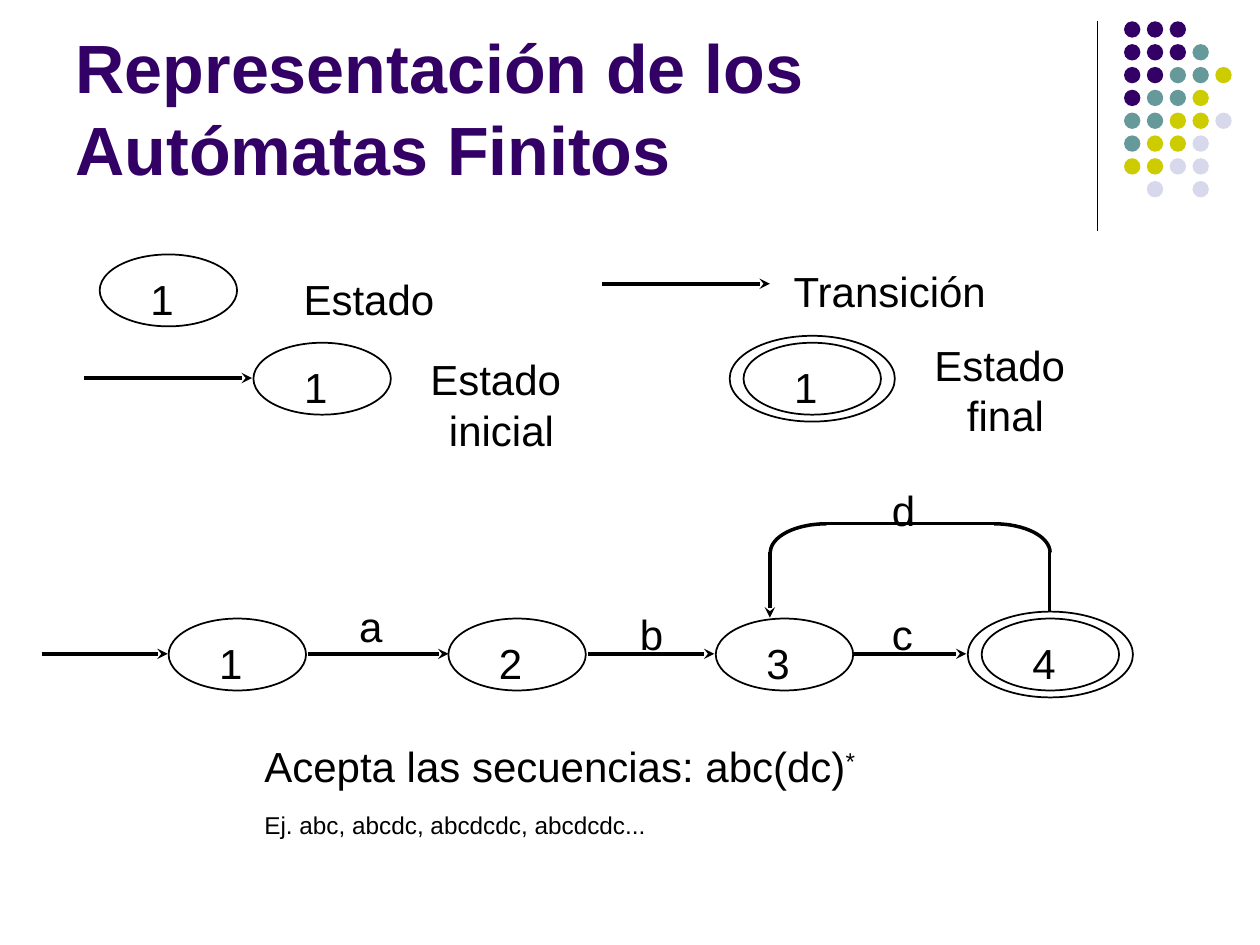
from math import cos, pi, sin

from lxml.etree import SubElement
from pptx import Presentation
from pptx.dml.color import RGBColor
from pptx.enum.shapes import MSO_CONNECTOR as CONNECTOR, MSO_SHAPE as SHAPE
from pptx.enum.text import MSO_ANCHOR as ANCHOR, MSO_AUTO_SIZE as AUTO_SIZE, PP_ALIGN as ALIGN
from pptx.oxml.ns import qn
from pptx.util import Cm, Pt

BLACK = RGBColor(0x00, 0x00, 0x00)
WHITE = RGBColor(0xFF, 0xFF, 0xFF)
PURPLE = RGBColor(0x33, 0x00, 0x66)
TEAL = RGBColor(0x66, 0x99, 0x99)
OLIVE = RGBColor(0xCC, 0xCC, 0x00)
LAVENDER = RGBColor(0xD8, 0xD8, 0xEC)

TITLE_FONT = {"name": "Arial", "size": Pt(39), "bold": True}
BODY_FONT = {"name": "Arial", "size": Pt(24)}

presentation = Presentation()
presentation.slide_width = Cm(25.4)
presentation.slide_height = Cm(19.05)
slide = presentation.slides.add_slide(presentation.slide_layouts[5])
shapes = slide.shapes


def add_text(left, top, width, height, lines, align=ALIGN.LEFT, wrap=False):
    box = shapes.add_textbox(Cm(left), Cm(top), Cm(width), Cm(height))
    frame = box.text_frame
    frame.text = "\n".join(lines)
    frame.word_wrap = wrap
    frame.auto_size = AUTO_SIZE.SHAPE_TO_FIT_TEXT
    for paragraph in frame.paragraphs:
        paragraph.alignment = align
        for name, value in BODY_FONT.items():
            setattr(paragraph.font, name, value)
        paragraph.font.color.rgb = BLACK
    return frame


def add_line(x1, y1, x2, y2, width=2, arrow=False):
    line = shapes.add_connector(CONNECTOR.STRAIGHT, Cm(x1), Cm(y1), Cm(x2), Cm(y2))
    line.line.color.rgb = BLACK
    line.line.width = Pt(width)
    if arrow:
        SubElement(line.line._get_or_add_ln(), qn("a:tailEnd"), type="stealth")
    SubElement(line._element.spPr, qn("a:effectLst"))


title = shapes.title
title_place = {"left": Cm(1.27), "top": Cm(0.33), "width": Cm(20.96), "height": Cm(3.61)}
for name, value in title_place.items():
    setattr(title, name, value)
title.text_frame.text = "Representación de los Autómatas Finitos"
title_format = {"auto_size": AUTO_SIZE.NONE, "vertical_anchor": ANCHOR.BOTTOM, "word_wrap": True}
for name, value in title_format.items():
    setattr(title.text_frame, name, value)
title_paragraph = title.text_frame.paragraphs[0]
title_paragraph.alignment = ALIGN.LEFT
for name, value in TITLE_FONT.items():
    setattr(title_paragraph.font, name, value)
title_paragraph.font.color.rgb = PURPLE

add_line(22.12, 0.43, 22.12, 4.65, width=0.75)

dot_colors = {"P": PURPLE, "T": TEAL, "O": OLIVE, "L": LAVENDER}
dot_rows = ["PPP", "PPPT", "PPTTO", "PTTO", "TTOOL", "TOOL", "OOLL", ".L.L"]
ellipses = []
for row, codes in enumerate(dot_rows):
    for column, code in enumerate(codes):
        if code in dot_colors:
            place = (22.66 + 0.46 * column, 0.43 + 0.46 * row, 0.33, 0.33)
            ellipses.append((place, dot_colors[code], False))

states = [
    (2.01, 5.13, "1", False),
    (5.11, 6.91, "1", False),
    (14.99, 6.91, "1", True),
    (3.4, 12.47, "1", False),
    (9.04, 12.47, "2", False),
    (14.43, 12.47, "3", False),
    (19.79, 12.47, "4", True),
]
for left, top, label, is_final in states:
    if is_final:
        ellipses.append(((left - 0.28, top - 0.14, 3.33, 1.73), WHITE, True))
    ellipses.append(((left, top, 2.77, 1.45), WHITE, True))

for place, color, outlined in ellipses:
    ellipse = shapes.add_shape(SHAPE.OVAL, *map(Cm, place))
    ellipse.shadow.inherit = False
    ellipse.fill.solid()
    ellipse.fill.fore_color.rgb = color
    if outlined:
        ellipse.line.color.rgb = BLACK
        ellipse.line.width = Pt(1)
    else:
        ellipse.line.fill.background()

for left, top, label, is_final in states:
    add_text(left + 0.77, top + 0.26, 0.99, 1.3, [label])

arrows = [
    (12.14, 5.72, 15.52, 5.72),
    (1.7, 7.62, 5.08, 7.62),
    (0.84, 13.18, 3.38, 13.18),
    (6.2, 13.18, 9.04, 13.18),
    (11.86, 13.18, 14.4, 13.18),
    (17.22, 13.18, 19.48, 13.18),
    (15.52, 11.13, 15.52, 12.45),
]
for arrow in arrows:
    add_line(*arrow, arrow=True)

add_line(21.16, 11.13, 21.16, 12.32)
add_line(20.04, 10.55, 16.66, 10.55)
for center, start in ((20.04, 0), (16.66, pi / 2)):
    angles = [start + pi / 2 * step / 16 for step in range(17)]
    points = [(Cm(center + 1.13 * cos(a)), Cm(11.14 - 0.58 * sin(a))) for a in angles]
    builder = shapes.build_freeform(*points[0])
    builder.add_line_segments(points[1:], close=False)
    corner = builder.convert_to_shape()
    corner.shadow.inherit = False
    corner.fill.background()
    corner.line.color.rgb = BLACK
    corner.line.width = Pt(2)

labels = [
    (5.87, 5.38, 3.18, ["Estado"]),
    (15.75, 5.23, 4.45, ["Transición"]),
    (6.99, 11.99, 0.99, ["a"]),
    (12.65, 12.14, 0.99, ["b"]),
    (17.73, 9.65, 0.99, ["d"]),
    (17.73, 12.14, 0.94, ["c"]),
]
for left, top, width, lines in labels:
    add_text(left, top, width, 1.3, lines)

add_text(8.41, 7.01, 3.4, 2.31, ["Estado ", "inicial"], ALIGN.CENTER)
add_text(18.57, 6.71, 3.4, 2.31, ["Estado ", "final"], ALIGN.CENTER)

summary_lines = ["Acepta las secuencias: abc(dc)", "Ej. abc, abcdc, abcdcdc, abcdcdc..."]
summary = add_text(5.08, 14.81, 16.36, 2.31, summary_lines, wrap=True)
sequence, example = summary.paragraphs
star = sequence.add_run()
star.text = "*"
example.space_before = Pt(8)
for run in (star, example.runs[0]):
    run.font._element.set("baseline", "30000")

presentation.save("out.pptx")
